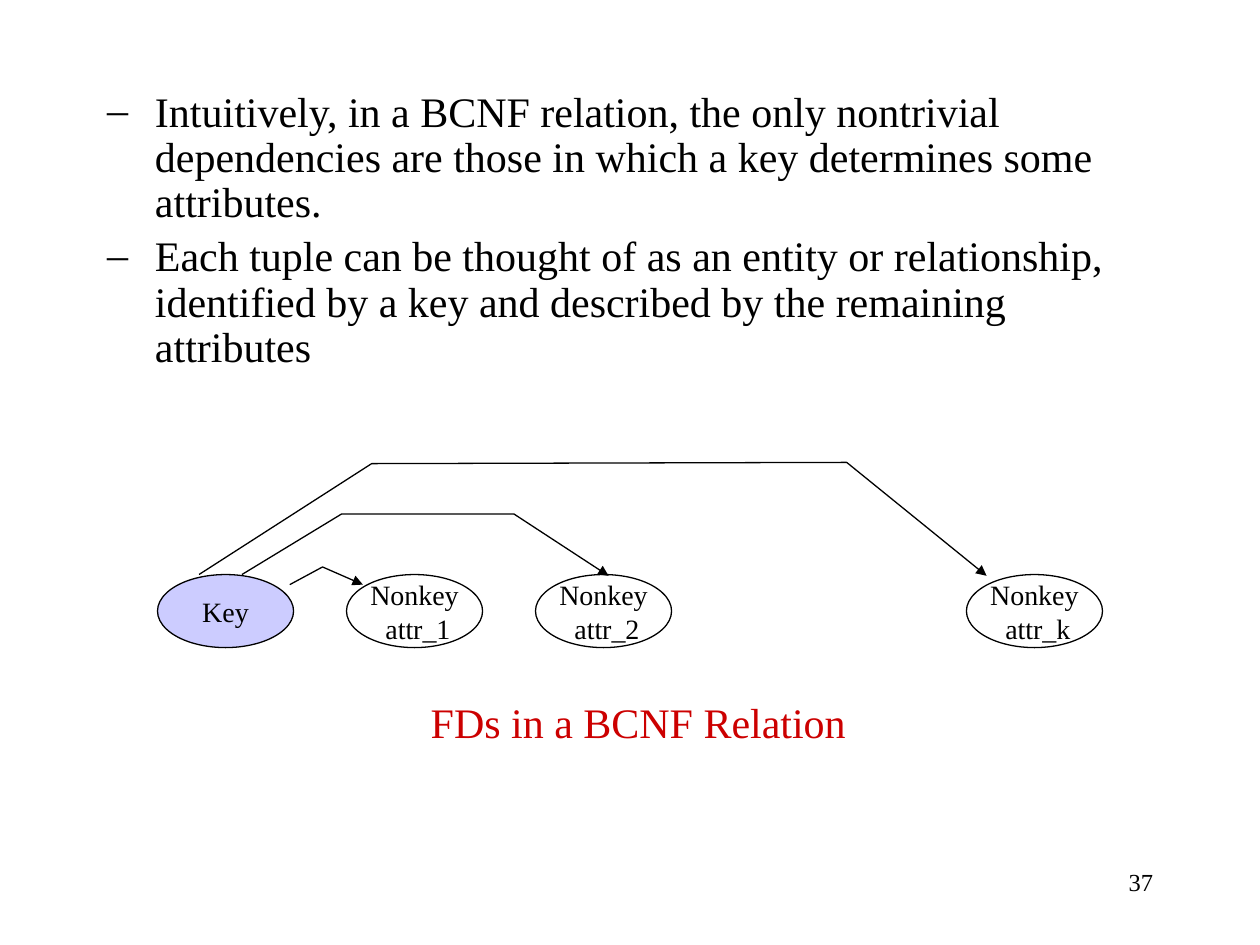
from dataclasses import dataclass

from lxml.etree import SubElement
from pptx import Presentation
from pptx.dml.color import RGBColor
from pptx.enum.shapes import MSO_SHAPE
from pptx.enum.text import MSO_ANCHOR, MSO_AUTO_SIZE, PP_ALIGN
from pptx.oxml.ns import qn
from pptx.util import Inches, Pt

FONT = "Times New Roman"
BLACK = "000000"
RED = "CC0000"
LAVENDER = "CCCCFF"
ELLIPSE_TOP = 4.56
ELLIPSE_WIDTH = 1.08
ELLIPSE_HEIGHT = 0.58


@dataclass
class Attribute:
    left: float
    lines: tuple[str, ...]
    fill: str | None = None


@dataclass
class Dependency:
    points: tuple[tuple[float, float], ...]


ATTRIBUTES = (
    Attribute(1.25, ("Key",), LAVENDER),
    Attribute(2.75, ("Nonkey", " attr_1")),
    Attribute(4.25, ("Nonkey", " attr_2")),
    Attribute(7.67, ("Nonkey", " attr_k")),
)

DEPENDENCIES = (
    Dependency(((2.3, 4.64), (2.56, 4.5), (2.88, 4.64))),
    Dependency(((1.92, 4.56), (2.71, 4.08), (4.08, 4.08), (4.83, 4.57))),
    Dependency(((1.58, 4.56), (2.95, 3.68), (6.72, 3.67), (7.83, 4.57))),
)

STATEMENTS = (
    "Intuitively, in a BCNF relation, the only nontrivial dependencies are "
    "those in which a key determines some attributes.",
    "Each tuple can be thought of as an entity or relationship, identified by "
    "a key and described by the remaining attributes",
)


def color(value: str) -> RGBColor:
    return RGBColor.from_string(value)


def add_span(para, text: str, size: float, text_color: str = BLACK) -> None:
    span = para.add_run()
    span.text = text
    span.font.name = FONT
    span.font.size = Pt(size)
    span.font.color.rgb = color(text_color)


def paragraph_at(frame, index: int):
    return frame.paragraphs[0] if index == 0 else frame.add_paragraph()


def style_outline(shape, fill: str | None = None) -> None:
    shape.shadow.inherit = False
    shape.line.color.rgb = color(BLACK)
    shape.line.width = Pt(0.75)
    if fill:
        shape.fill.solid()
        shape.fill.fore_color.rgb = color(fill)
    else:
        shape.fill.background()


def add_label(page, left: float, top: float, width: float, text: str, size: float,
              text_color: str = BLACK, align: PP_ALIGN = PP_ALIGN.LEFT) -> None:
    box = page.shapes.add_textbox(Inches(left), Inches(top), Inches(width), Inches(0.5))
    box.text_frame.word_wrap = True
    para = box.text_frame.paragraphs[0]
    para.alignment = align
    add_span(para, text, size, text_color)


def add_dash(para) -> None:
    properties = para._p.get_or_add_pPr()
    properties.set("marL", str(Inches(0.38)))
    properties.set("indent", str(-Inches(0.38)))
    SubElement(properties, qn("a:buFont")).set("typeface", FONT)
    SubElement(properties, qn("a:buChar")).set("char", "–")


def fill_body(body) -> None:
    body.left, body.top = Inches(0.75), Inches(0.67)
    body.width, body.height = Inches(8.5), Inches(2.67)
    frame = body.text_frame
    frame.word_wrap = True
    frame.auto_size = MSO_AUTO_SIZE.NONE
    frame.vertical_anchor = MSO_ANCHOR.TOP
    for index, statement in enumerate(STATEMENTS):
        para = paragraph_at(frame, index)
        add_dash(para)
        para.line_spacing = 0.9
        para.space_before = Pt(5 if index else 0)
        add_span(para, statement, 24)


def add_attribute(page, attribute: Attribute) -> None:
    ellipse = page.shapes.add_shape(
        MSO_SHAPE.OVAL, Inches(attribute.left), Inches(ELLIPSE_TOP),
        Inches(ELLIPSE_WIDTH), Inches(ELLIPSE_HEIGHT))
    style_outline(ellipse, attribute.fill)
    frame = ellipse.text_frame
    frame.word_wrap = False
    frame.vertical_anchor = MSO_ANCHOR.MIDDLE
    for index, line in enumerate(attribute.lines):
        para = paragraph_at(frame, index)
        para.alignment = PP_ALIGN.CENTER
        add_span(para, line, 16)


def add_dependency(page, dependency: Dependency) -> None:
    start, *rest = [(Inches(x), Inches(y)) for x, y in dependency.points]
    builder = page.shapes.build_freeform(*start)
    builder.add_line_segments(rest, close=False)
    arrow = builder.convert_to_shape()
    style_outline(arrow)
    SubElement(arrow.line._get_or_add_ln(), qn("a:tailEnd")).set("type", "triangle")


def main() -> None:
    deck = Presentation()
    deck.slide_width, deck.slide_height = Inches(10), Inches(7.5)
    page = deck.slides.add_slide(deck.slide_layouts[1])
    title = page.shapes.title
    title.element.getparent().remove(title.element)

    add_label(page, 7.17, 6.83, 2.08, "37", 14, align=PP_ALIGN.RIGHT)
    fill_body(page.placeholders[1])
    for attribute in ATTRIBUTES:
        add_attribute(page, attribute)
    for dependency in DEPENDENCIES:
        add_dependency(page, dependency)
    add_label(page, 3.32, 5.48, 3.6, "FDs in a BCNF Relation", 24, RED)
    deck.save("out.pptx")


if __name__ == "__main__":
    main()
